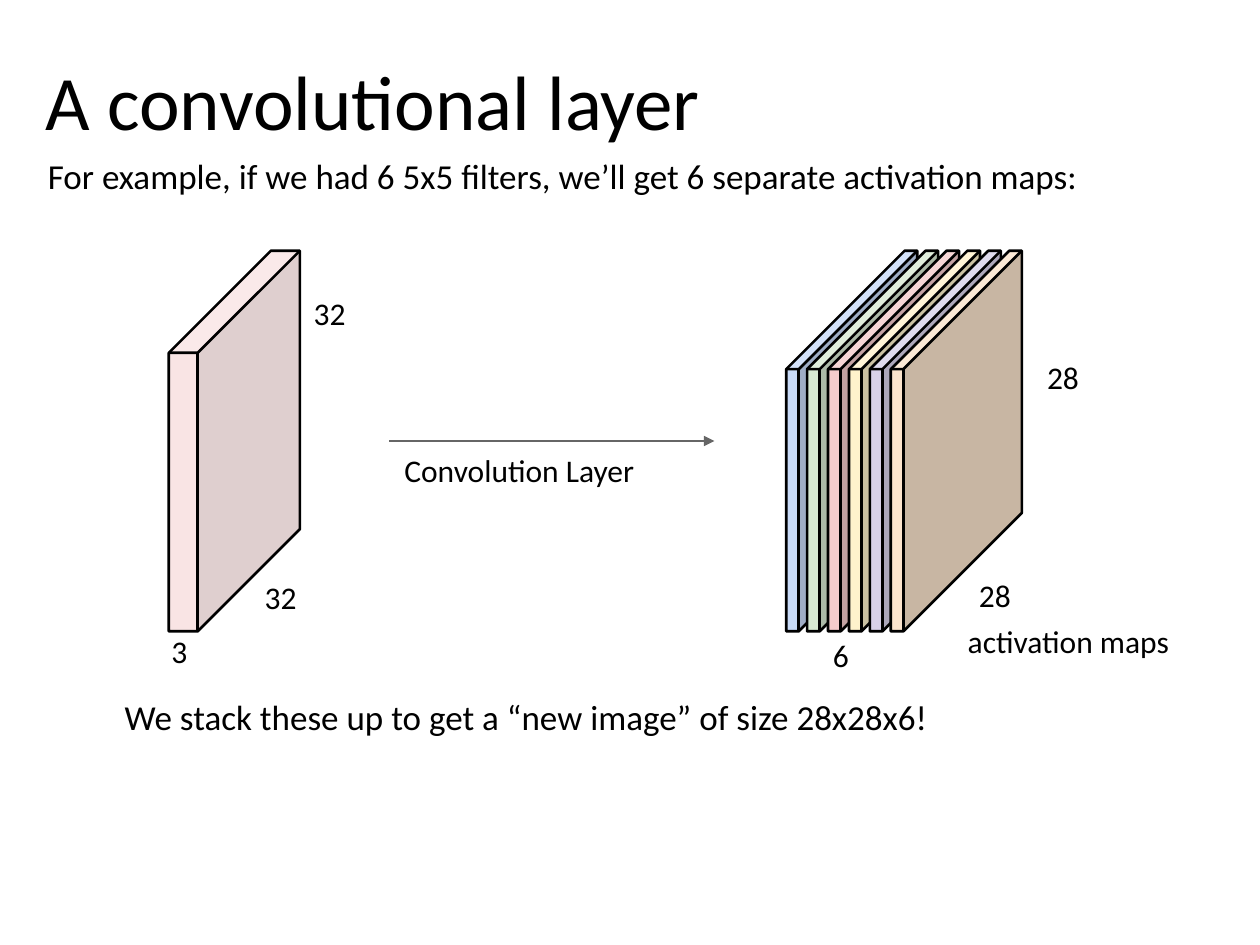
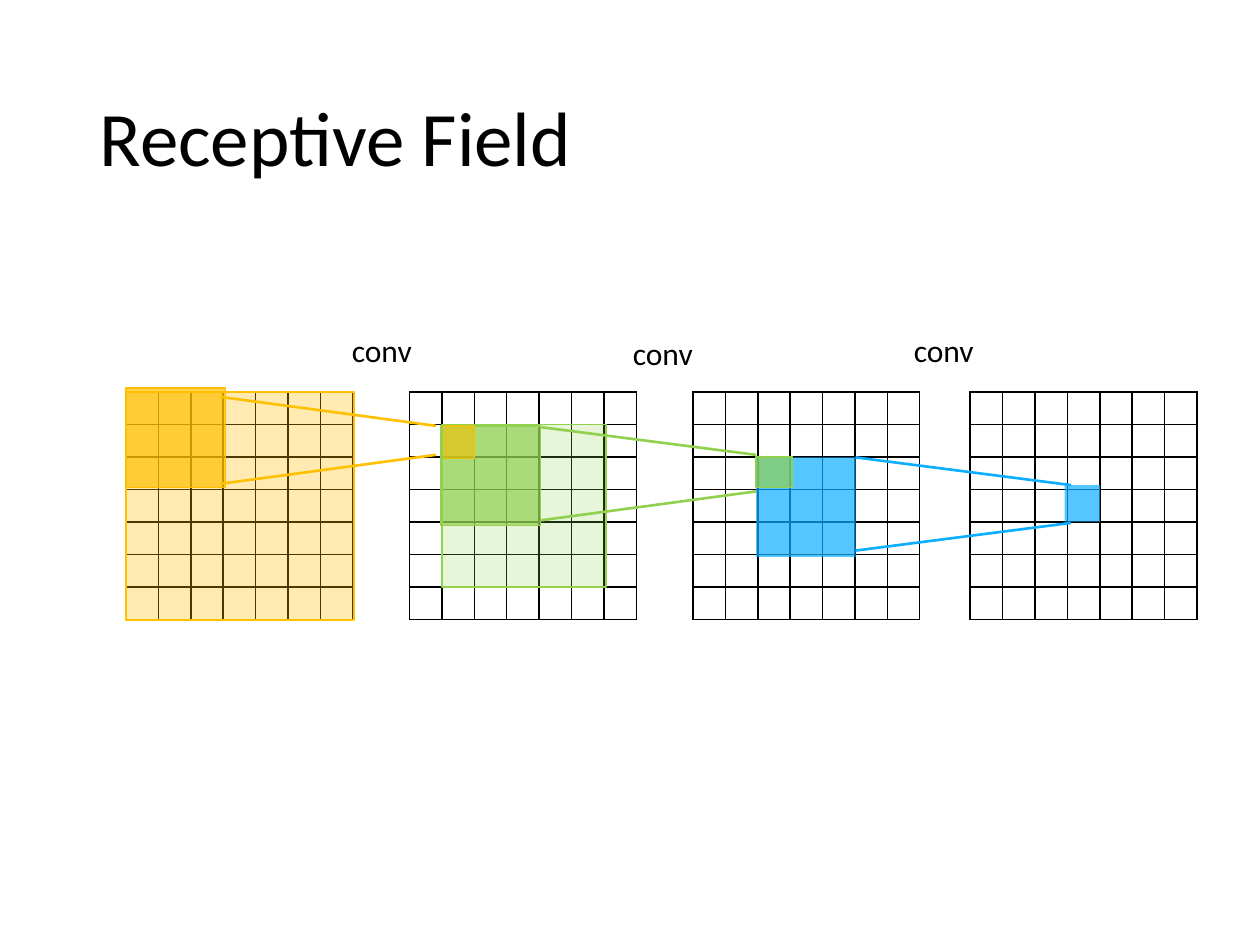
from lxml import etree
from pptx import Presentation
from pptx.dml.color import RGBColor
from pptx.enum.shapes import MSO_CONNECTOR, MSO_SHAPE
from pptx.enum.text import MSO_ANCHOR, PP_ALIGN
from pptx.oxml.ns import qn
from pptx.util import Inches, Pt

STRAIGHT = MSO_CONNECTOR.STRAIGHT
RECTANGLE = MSO_SHAPE.RECTANGLE
MIDDLE, TOP = MSO_ANCHOR.MIDDLE, MSO_ANCHOR.TOP
LEFT, CENTER = PP_ALIGN.LEFT, PP_ALIGN.CENTER

FONT = "Calibri"
BLACK, GRAY = "000000", "666666"
BLUE, GREEN, YELLOW = "0DAEFF", "92D050", "FFC000"
TITLE_ONLY = 5

BACK_TOP, FRONT_BOTTOM = 1.99, 5.01
INPUT_COLORS = ("F4CCCC", "C3A3A3", "F6D6D6")
MAP_COLORS = [
    ("C8DAF7", "A0AEC6", "D3E1F9"),
    ("D8E9D3", "ACBAA8", "DFEDDB"),
    INPUT_COLORS,
    ("FFF2CC", "CAC1A3", "FFF4D6"),
    ("D8D1E8", "ACA7BA", "DFDBED"),
    ("FBE4CD", "C8B6A3", "FBE9D6"),
]

GRID_LEFTS = (1, 3.25, 5.5, 7.7)
GRID_TOP, GRID_WIDTH, GRID_HEIGHT, GRID_CELLS = 3.11, 1.8, 1.81, 7
FIELD_SIZE = 0.79


def rgb(color):
    return RGBColor.from_string(color)


def set_fill(shape, color, alpha=100):
    if color is None:
        shape.fill.background()
        return
    shape.fill.solid()
    shape.fill.fore_color.rgb = rgb(color)
    if alpha < 100:
        node = shape.fill._xPr.find(qn("a:solidFill"))[0]
        etree.SubElement(node, qn("a:alpha"), val=str(alpha * 1000))


def set_line(shape, color, width):
    if color is None:
        shape.line.fill.background()
        return
    shape.line.color.rgb = rgb(color)
    shape.line.width = Pt(width)


def write(box, text, size, align=LEFT, anchor=TOP, wrap=True, spacing=None):
    frame = box.text_frame
    frame.word_wrap = wrap
    frame.vertical_anchor = anchor
    paragraph = frame.paragraphs[0]
    paragraph.alignment = align
    paragraph.line_spacing = spacing
    span = paragraph.add_run()
    span.text = text
    span.font.name = FONT
    span.font.size = Pt(size)
    span.font.color.rgb = rgb(BLACK)
    return frame


def add_page(deck, title, left, top):
    page = deck.slides.add_slide(deck.slide_layouts[TITLE_ONLY])
    box = page.shapes.title
    box.left, box.top = Inches(left), Inches(top)
    box.width, box.height = Inches(8.62), Inches(1.45)
    write(box, title, 44, anchor=MIDDLE, spacing=0.9)
    return page


def add_label(page, text, left, top, width, height=0.33, size=18):
    box = page.shapes.add_textbox(
        Inches(left), Inches(top), Inches(width), Inches(height))
    frame = write(box, text, size)
    frame.margin_left, frame.margin_top = Inches(0.01), Inches(0.02)
    frame.margin_right = frame.margin_bottom = 0


def add_outline(page, points, fill=None, alpha=100, line=None, close=True):
    corners = [(Inches(x), Inches(y)) for x, y in points]
    builder = page.shapes.build_freeform(*corners[0])
    builder.add_line_segments(corners[1:], close=close)
    shape = builder.convert_to_shape()
    shape.shadow.inherit = False
    set_fill(shape, fill, alpha)
    set_line(shape, line, 1.5)


def add_line(page, start, end, color, width=1.5, arrow=False):
    line = page.shapes.add_connector(
        STRAIGHT, *(Inches(value) for value in (*start, *end)))
    set_line(line, color, width)
    properties = line._element.spPr
    if arrow:
        etree.SubElement(properties.find(qn("a:ln")), qn("a:tailEnd"), type="triangle")
    etree.SubElement(properties, qn("a:effectLst"))


def add_slab(page, left, width, front_top, colors, alpha=100):
    right = left + width
    depth = front_top - BACK_TOP
    front_left, front_right = (left, front_top), (right, front_top)
    back_left, back_right = (left + depth, BACK_TOP), (right + depth, BACK_TOP)
    base_left, base_right = (left, FRONT_BOTTOM), (right, FRONT_BOTTOM)
    base_back = (right + depth, FRONT_BOTTOM - depth)
    faces = (
        (front_left, front_right, base_right, base_left),
        (base_right, front_right, back_right, base_back),
        (front_right, front_left, back_left, back_right),
    )
    for face, color in zip(faces, colors):
        add_outline(page, face, fill=color, alpha=alpha)
    silhouette = (front_left, back_left, back_right, base_back, base_right, base_left)
    add_outline(page, silhouette, line=BLACK)
    add_outline(page, (front_left, front_right, back_right), line=BLACK, close=False)
    add_line(page, front_right, base_right, BLACK)


def add_cell_borders(cell):
    properties = cell._tc.get_or_add_tcPr()
    for side in ("lnL", "lnR", "lnT", "lnB"):
        border = etree.SubElement(properties, qn(f"a:{side}"), w=str(Pt(1)))
        fill = etree.SubElement(border, qn("a:solidFill"))
        etree.SubElement(fill, qn("a:srgbClr"), val=BLACK)


def add_grid(page, left):
    table = page.shapes.add_table(
        GRID_CELLS, GRID_CELLS, Inches(left), Inches(GRID_TOP),
        Inches(GRID_WIDTH), Inches(GRID_HEIGHT)).table
    table.first_row = table.horz_banding = False
    for column in table.columns:
        column.width = Inches(GRID_WIDTH / GRID_CELLS)
    for row in table.rows:
        row.height = Inches(GRID_HEIGHT / GRID_CELLS)
    for cell in table.iter_cells():
        cell.margin_left = cell.margin_right = 0
        cell.margin_top = cell.margin_bottom = 0
        add_cell_borders(cell)
        cell.fill.background()
        paragraph = cell.text_frame.paragraphs[0]
        etree.SubElement(paragraph._p, qn("a:endParaRPr"), sz="800")


def add_area(page, left, top, width, height, color, alpha=70, line=None):
    area = page.shapes.add_shape(
        RECTANGLE, Inches(left), Inches(top), Inches(width), Inches(height))
    area.shadow.inherit = False
    set_fill(area, color, alpha)
    set_line(area, line, 1)


def add_receptive_field(page, color, field, unit, rays, line=None):
    add_area(page, *field, FIELD_SIZE, FIELD_SIZE, color, line=line)
    add_area(page, *unit, color, line=line)
    for start, end in rays:
        add_line(page, start, end, color)


def add_conv_label(page, left, top):
    box = page.shapes.add_textbox(
        Inches(left), Inches(top), Inches(0.68), Inches(0.4))
    write(box, "conv", 18, align=CENTER, wrap=False)


def build_layer_page(deck):
    page = add_page(deck, "A convolutional layer", 0.26, 0.11)
    add_label(page, "For example, if we had 6 5x5 filters, we’ll get 6 separate activation maps:",
              0.37, 1.21, 8.96, 0.36, size=20)
    add_slab(page, 1.34, 0.23, 2.8, INPUT_COLORS, alpha=52)
    add_line(page, (3.09, 3.5), (5.67, 3.5), GRAY, 0.75, arrow=True)
    for index, colors in enumerate(MAP_COLORS):
        add_slab(page, 6.24 + 0.166 * index, 0.1, 2.93, colors)
    for text, left, top, width in (
        ("32", 2.09, 4.57, 0.31),
        ("32", 2.48, 2.31, 0.31),
        ("3", 1.35, 5, 0.17),
        ("Convolution Layer", 3.2, 3.56, 2.04),
        ("activation maps", 7.67, 4.92, 1.92),
        ("6", 6.6, 5.03, 0.17),
        ("28", 7.76, 4.55, 0.31),
        ("28", 8.3, 2.82, 0.31),
    ):
        add_label(page, text, left, top, width)
    add_label(page, "We stack these up to get a “new image” of size 28x28x6!",
              0.98, 5.5, 7, 0.36, size=20)


def build_field_page(deck):
    page = add_page(deck, "Receptive Field", 0.69, 0.4)
    for left in GRID_LEFTS:
        add_grid(page, left)
    add_receptive_field(
        page, BLUE, (6, 3.63), (8.45, 3.85, 0.28, 0.29),
        [((6.79, 3.63), (8.5, 3.85)), ((6.79, 4.37), (8.5, 4.15))])
    add_receptive_field(
        page, GREEN, (3.5, 3.38), (6, 3.63, 0.29, 0.24),
        [((4.29, 3.39), (6, 3.61)), ((4.29, 4.13), (6, 3.9))], line=GREEN)
    add_receptive_field(
        page, YELLOW, (1, 3.08), (3.51, 3.38, 0.25, 0.26),
        [((1.75, 3.15), (3.46, 3.38)), ((1.75, 3.84), (3.46, 3.61))], line=YELLOW)
    for left, top in ((2.69, 2.58), (4.92, 2.6), (7.15, 2.58)):
        add_conv_label(page, left, top)
    add_area(page, 3.51, 3.37, 1.3, 1.29, GREEN, alpha=21, line=GREEN)
    add_area(page, 1, 3.11, 1.81, 1.81, YELLOW, alpha=30, line=YELLOW)


def main():
    deck = Presentation()
    deck.slide_width, deck.slide_height = Inches(10), Inches(7.5)
    build_layer_page(deck)
    build_field_page(deck)
    deck.save("out.pptx")


if __name__ == "__main__":
    main()
